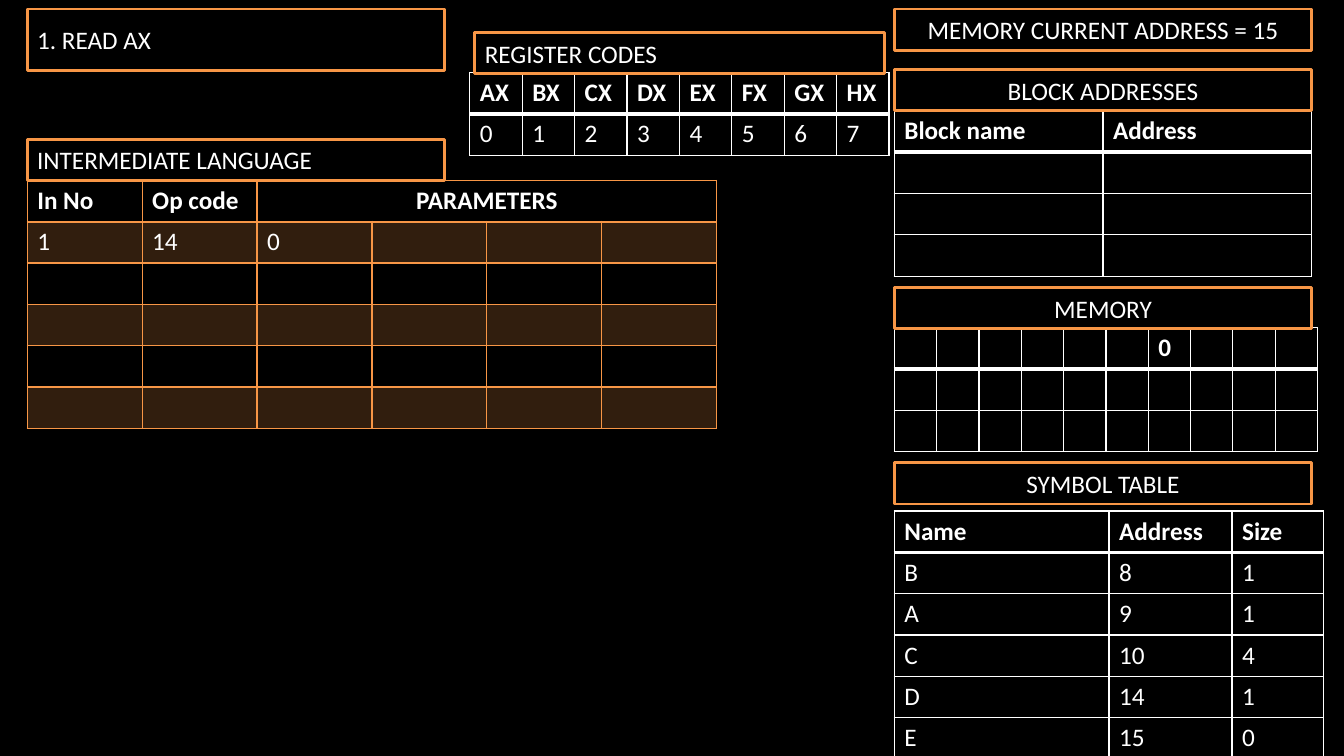
from lxml.etree import SubElement
from pptx import Presentation
from pptx.dml.color import RGBColor
from pptx.enum.shapes import MSO_SHAPE
from pptx.enum.text import MSO_ANCHOR, PP_ALIGN
from pptx.oxml.ns import qn
from pptx.util import Inches, Pt

BLACK = RGBColor(0x00, 0x00, 0x00)
WHITE = RGBColor(0xFF, 0xFF, 0xFF)
ORANGE = RGBColor(0xF7, 0x96, 0x46)
LEFT, RIGHT, ROW = 0.27, 8.87, 0.41


def write(tf, text, bold=False, align=PP_ALIGN.LEFT, size=18, color=WHITE):
    p = tf.paragraphs[0]
    p.alignment = align
    r = p.add_run()
    r.text = text
    r.font.name = "Calibri"
    r.font.size = Pt(size)
    r.font.bold = bold
    r.font.color.rgb = color


def set_borders(cell, color, **widths):
    tcPr = cell._tc.get_or_add_tcPr()
    for side in ("L", "R", "T", "B"):
        ln = SubElement(tcPr, qn(f"a:ln{side}"), w=str(Pt(widths.get(side, 1))))
        fill = SubElement(ln, qn("a:solidFill"))
        SubElement(fill, qn("a:srgbClr"), val=str(color))


prs = Presentation()
prs.slide_width, prs.slide_height = Inches(13.33), Inches(7.5)
s = prs.slides.add_slide(prs.slide_layouts[6])
s.background.fill.solid()
s.background.fill.fore_color.rgb = BLACK

memory = [[""] * 6 + ["0"] + [""] * 3] + [[""] * 10] * 2
symbols = [
    ["Name", "Address", "Size"],
    ["B", "8", "1"],
    ["A", "9", "1"],
    ["C", "10", "4"],
    ["D", "14", "1"],
    ["E", "15", "0"],
]
instructions = [
    ["In No", "Op code", "PARAMETERS", "", "", ""],
    ["1", "14", "0", "", "", ""],
] + [[""] * 6] * 4
blocks = [["Block name", "Address"]] + [["", ""]] * 3
registers = [[f"{letter}X" for letter in "ABCDEFGH"], [str(n) for n in range(8)]]

tables = [
    (RIGHT, 3.25, [0.42] * 10, memory, WHITE, 3),
    (RIGHT, 5.07, [2.13, 1.22, 0.91], symbols, WHITE, 3),
    (LEFT, 1.79, [1.14] * 6, instructions, ORANGE, 2),
    (RIGHT, 1.1, [2.07] * 2, blocks, WHITE, 3),
    (4.66, 0.72, [0.52] * 8, registers, WHITE, 3),
]
for x, y, widths, rows, line, header_line in tables:
    frame = s.shapes.add_table(
        len(rows), len(widths), Inches(x), Inches(y),
        Inches(sum(widths)), Inches(ROW * len(rows)))
    table = frame.table
    table.first_row = table.horz_banding = False
    for column, width in zip(table.columns, widths):
        column.width = Inches(width)
    if rows is instructions:
        table.cell(0, 2).merge(table.cell(0, 5))
    for i, row in enumerate(rows):
        table.rows[i].height = Inches(ROW)
        for j, text in enumerate(row):
            cell = table.cell(i, j)
            set_borders(cell, line, T=header_line if i == 1 else 1,
                        B=header_line if i == 0 else 1)
            if line == WHITE:
                cell.fill.solid()
                cell.fill.fore_color.rgb = BLACK
            elif i % 2:
                cell.fill.solid()
                cell.fill.fore_color.rgb = ORANGE
                color = cell._tc.tcPr.find(qn("a:solidFill")).find(qn("a:srgbClr"))
                SubElement(color, qn("a:alpha"), val="20000")
            else:
                cell.fill.background()
            if text:
                align = PP_ALIGN.CENTER if text == "PARAMETERS" else PP_ALIGN.LEFT
                write(cell.text_frame, text, bold=i == 0, align=align)

boxes = [
    ("MEMORY", RIGHT, 2.85, 4.14, ROW, PP_ALIGN.CENTER),
    ("SYMBOL TABLE", RIGHT, 4.59, 4.14, ROW, PP_ALIGN.CENTER),
    ("BLOCK ADDRESSES", RIGHT, 0.69, 4.14, ROW, PP_ALIGN.CENTER),
    ("1. READ AX", LEFT, 0.09, 4.14, 0.61, PP_ALIGN.LEFT),
    ("MEMORY CURRENT ADDRESS = 15", RIGHT, 0.09, 4.14, ROW, PP_ALIGN.CENTER),
    ("INTERMEDIATE LANGUAGE", LEFT, 1.38, 4.14, ROW, PP_ALIGN.LEFT),
    ("REGISTER CODES", 4.71, 0.32, 4.06, ROW, PP_ALIGN.LEFT),
]
for text, x, y, w, h, align in boxes:
    sp = s.shapes.add_shape(
        MSO_SHAPE.RECTANGLE, Inches(x), Inches(y), Inches(w), Inches(h))
    sp.shadow.inherit = False
    sp.fill.solid()
    sp.fill.fore_color.rgb = BLACK
    sp.line.color.rgb = ORANGE
    sp.line.width = Pt(2)
    sp.text_frame.word_wrap = True
    sp.text_frame.vertical_anchor = MSO_ANCHOR.MIDDLE
    write(sp.text_frame, text, align=align)

prs.save("out.pptx")
